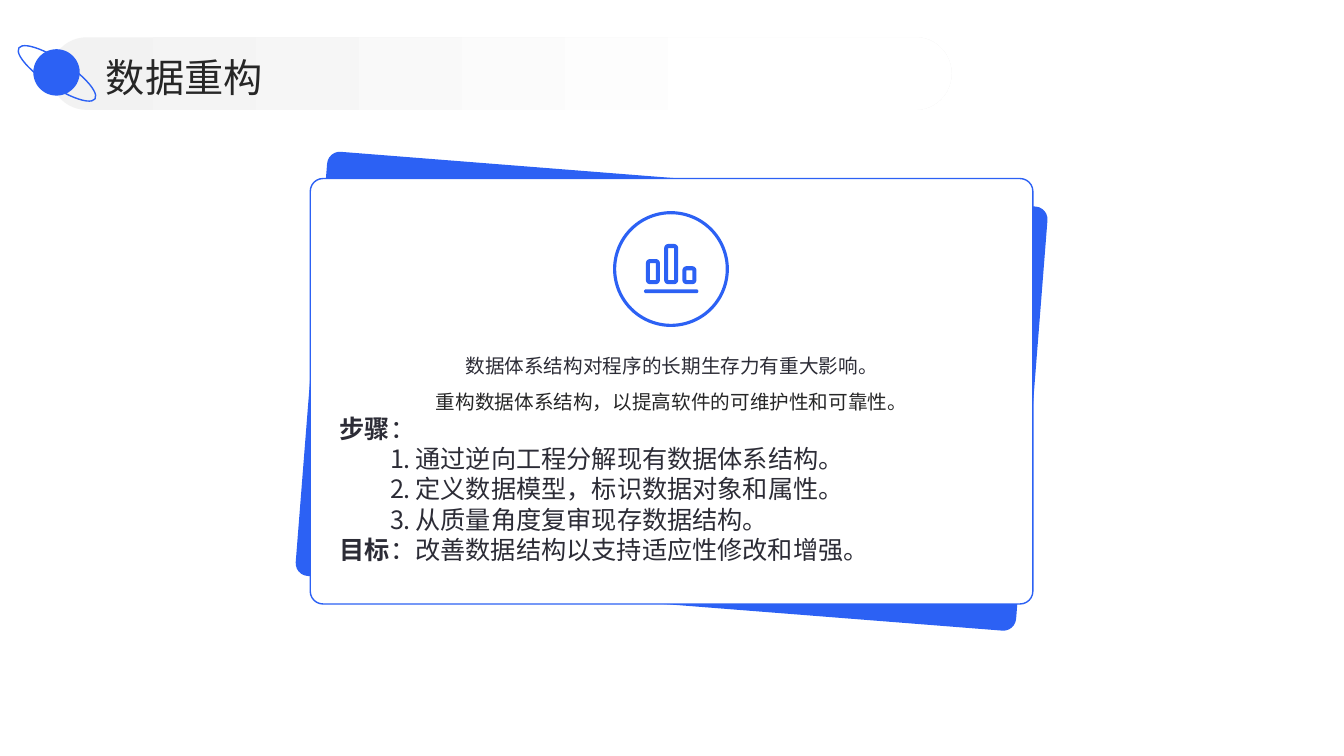
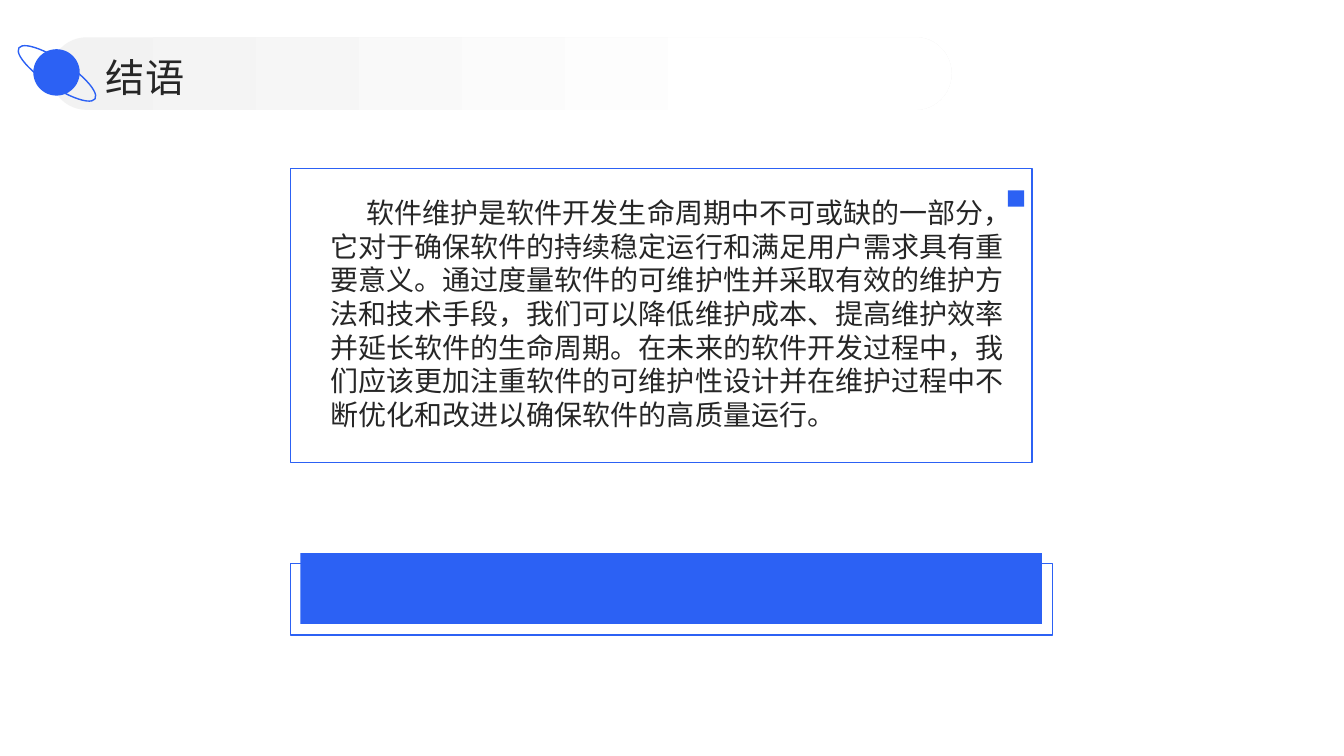
from lxml.etree import SubElement
from pptx import Presentation
from pptx.dml.color import RGBColor
from pptx.enum.shapes import MSO_SHAPE
from pptx.enum.text import MSO_ANCHOR, PP_ALIGN
from pptx.oxml.ns import qn
from pptx.util import Cm, Pt

COLORS = {
    "accent": "2C61F4",
    "white": "FFFFFF",
    "band": "F2F2F2",
    "ink": "262626",
    "body": "2C2C36",
}
LATIN = "Lato"
CHINESE = "Noto Sans CJK SC"


def color(key):
    return RGBColor.from_string(COLORS[key])


def add_figure(slide, kind, left, top, width, height, fill=None, line=None,
               weight=1, corner=None, rotation=0):
    figure = slide.shapes.add_shape(kind, Cm(left), Cm(top), Cm(width), Cm(height))
    figure.shadow.inherit = False
    figure.rotation = rotation
    if corner is not None:
        figure.adjustments[0] = corner
    if fill:
        figure.fill.solid()
        figure.fill.fore_color.rgb = color(fill)
    else:
        figure.fill.background()
    if line:
        figure.line.color.rgb = color(line)
        figure.line.width = Pt(weight)
    else:
        figure.line.fill.background()
    return figure


def add_frame(slide, left, top, width, height, inset=(0, 0), anchor=MSO_ANCHOR.TOP):
    frame = slide.shapes.add_textbox(Cm(left), Cm(top), Cm(width), Cm(height)).text_frame
    frame.word_wrap = True
    frame.vertical_anchor = anchor
    frame.margin_left = frame.margin_right = Cm(inset[0])
    frame.margin_top = frame.margin_bottom = Cm(inset[1])
    return frame


def write(frame, text, label="", size=18, tone="ink", font=CHINESE, spacing=None,
          align=PP_ALIGN.LEFT, margin=0, indent=0, numbered=False):
    paragraph = frame.paragraphs[0]
    if paragraph.runs:
        paragraph = frame.add_paragraph()
    properties = paragraph._p.get_or_add_pPr()
    properties.set("marL", str(Cm(margin)))
    properties.set("indent", str(Cm(indent)))
    if numbered:
        SubElement(properties, qn("a:buFont"), typeface=font)
        SubElement(properties, qn("a:buAutoNum"), type="arabicPeriod")
    paragraph.alignment = align
    paragraph.line_spacing = spacing
    for part, bold in ((label, True), (text, False)):
        if not part:
            continue
        run = paragraph.add_run()
        run.text = part
        run.font.size = Pt(size)
        run.font.bold = bold
        run.font.color.rgb = color(tone)
        run.font.name = font
        SubElement(run.font._element, qn("a:ea"), typeface=CHINESE)


def add_header(slide, title):
    band = add_figure(slide, MSO_SHAPE.ROUNDED_RECTANGLE, 1.27, 0.94, 22.71, 1.83, corner=0.5)
    band.fill.gradient()
    band.fill.gradient_angle = 0
    for stop, tone, position in zip(band.fill.gradient_stops, ("band", "white"), (0, 0.8)):
        stop.color.rgb = color(tone)
        stop.position = position
    heading = add_frame(slide, 2.67, 1.24, 29.64, 1.3, anchor=MSO_ANCHOR.MIDDLE)
    write(heading, title, size=28, spacing=1.1)
    add_figure(slide, MSO_SHAPE.OVAL, 0.84, 1.24, 1.17, 1.17, fill="accent")
    add_figure(slide, MSO_SHAPE.OVAL, 0.28, 1.52, 2.31, 0.66, line="accent", rotation=33.8)


def add_chart_icon(slide):
    add_figure(slide, MSO_SHAPE.OVAL, 15.49, 5.36, 2.84, 2.84,
               fill="white", line="accent", weight=2.25)
    floor = 7.11
    for column, height in enumerate((0.53, 0.91, 0.35)):
        add_figure(slide, MSO_SHAPE.ROUNDED_RECTANGLE, 16.33 + 0.46 * column, floor - height,
                   0.25, height, line="accent", weight=2.9, corner=0.2)
    add_figure(slide, MSO_SHAPE.ROUNDED_RECTANGLE, 16.23, 7.29, 1.37, 0.1,
               fill="accent", corner=0.5)


def build_restructuring(slide):
    add_header(slide, "数据重构")
    card = (7.82, 4.5, 18.21, 10.72)
    add_figure(slide, MSO_SHAPE.ROUNDED_RECTANGLE, *card, fill="accent",
               corner=0.03, rotation=4.5)
    add_figure(slide, MSO_SHAPE.ROUNDED_RECTANGLE, *card, fill="white",
               line="accent", corner=0.03)
    add_chart_icon(slide)

    content = add_frame(slide, 8.56, 8.61, 16.74, 6.2)
    summary = dict(size=14, align=PP_ALIGN.CENTER, spacing=Pt(25.6))
    write(content, "数据体系结构对程序的长期生存力有重大影响。", tone="body", font=LATIN, **summary)
    write(content, "重构数据体系结构，以提高软件的可维护性和可靠性。", **summary)

    detail = dict(tone="body", font=LATIN, spacing=Pt(21.6))
    write(content, "：", label="步骤", **detail)
    for step in ("通过逆向工程分解现有数据体系结构。",
                 "定义数据模型，标识数据对象和属性。",
                 "从质量角度复审现存数据结构。"):
        write(content, step, margin=1.91, indent=-0.64, numbered=True, **detail)
    write(content, "：改善数据结构以支持适应性修改和增强。", label="目标", **detail)


def build_conclusion(slide):
    add_header(slide, "结语")
    add_figure(slide, MSO_SHAPE.RECTANGLE, 7.32, 14.2, 19.2, 1.8, fill="white", line="accent")
    add_figure(slide, MSO_SHAPE.RECTANGLE, 7.32, 4.24, 18.69, 7.42, fill="white", line="accent")
    add_figure(slide, MSO_SHAPE.RECTANGLE, 7.57, 13.94, 18.69, 1.78, fill="accent")
    add_figure(slide, MSO_SHAPE.RECTANGLE, 25.4, 4.8, 0.41, 0.41, fill="accent")
    closing = add_frame(slide, 8.08, 4.8, 17.73, 6.25, inset=(0.25, 0.13))
    write(closing,
          "软件维护是软件开发生命周期中不可或缺的一部分，它对于确保软件的持续稳定运行和"
          "满足用户需求具有重要意义。通过度量软件的可维护性并采取有效的维护方法和技术手段，"
          "我们可以降低维护成本、提高维护效率并延长软件的生命周期。在未来的软件开发过程中，"
          "我们应该更加注重软件的可维护性设计并在维护过程中不断优化和改进以确保软件的高质量运行。",
          size=20, spacing=Pt(24), indent=0.91)


def main():
    deck = Presentation()
    deck.slide_width, deck.slide_height = Cm(33.87), Cm(19.05)
    for build in (build_restructuring, build_conclusion):
        build(deck.slides.add_slide(deck.slide_layouts[6]))
    deck.save("out.pptx")


if __name__ == "__main__":
    main()
